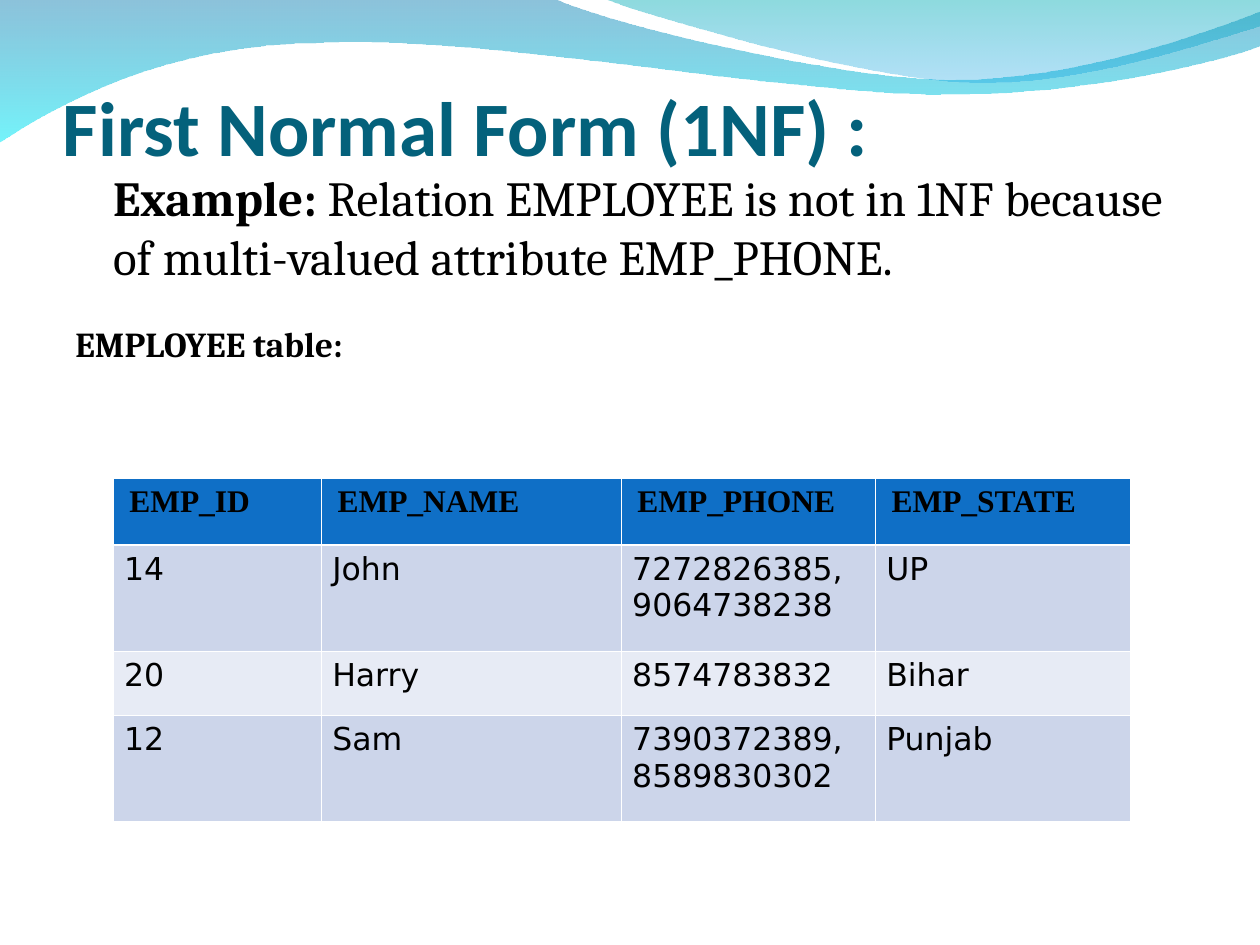
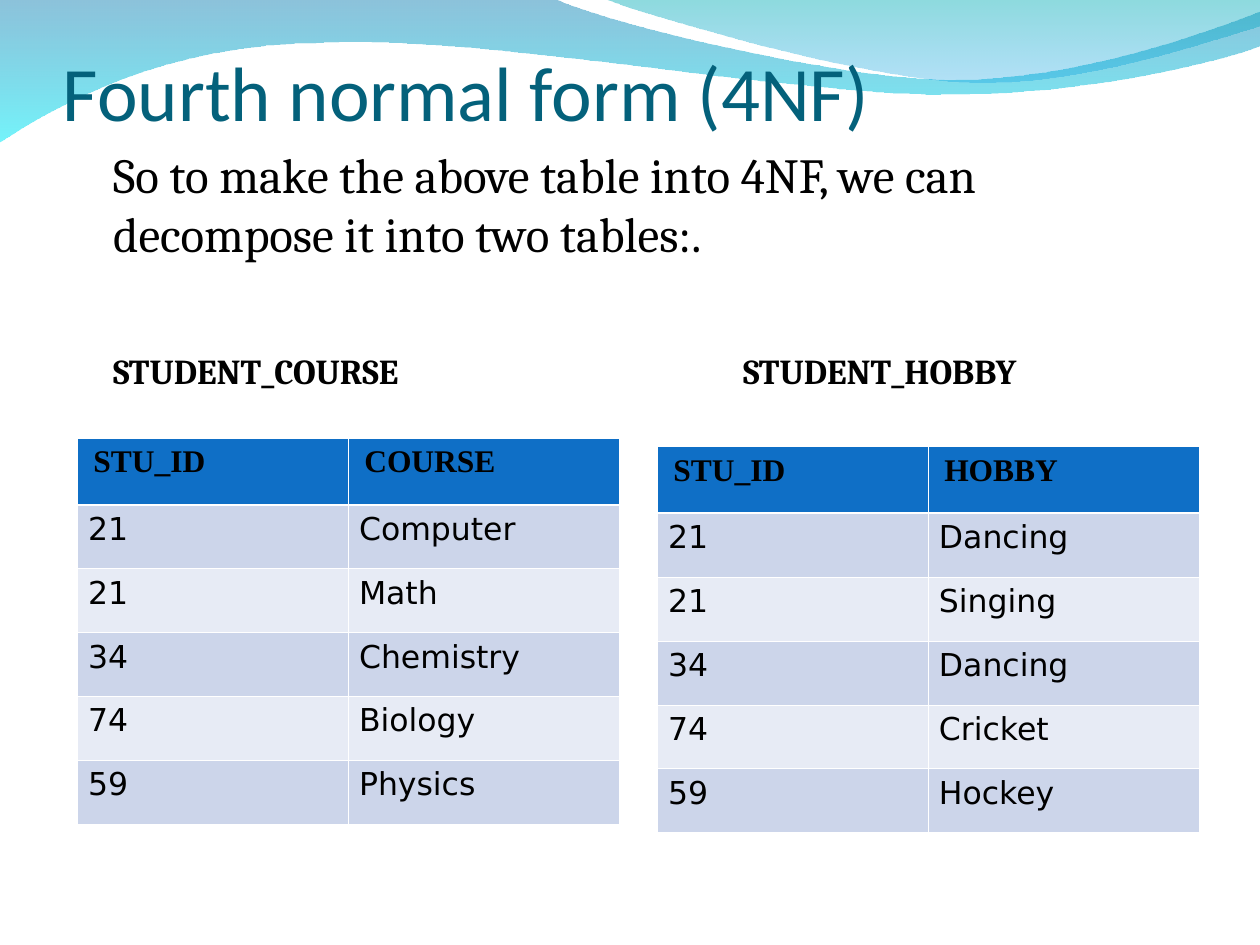
from lxml import etree
from pptx import Presentation
from pptx.dml.color import RGBColor
from pptx.enum import text
from pptx.oxml.ns import qn
from pptx.util import Pt

COLORS = {
    "title": "04617B", "text": "000000", "border": "FFFFFF",
    "header": "0F6FC6", "odd_row": "CCD5EA", "even_row": "E7EBF5",
    "wave_top": "0079AF", "wave_bottom": "00EBF8",
    "crest_top": "00ADB6", "crest_bottom": "009BE5",
}
TITLE_FONT, BODY_FONT = "Calibri", "Cambria"
HEADER_FONT, CELL_FONT = "Times New Roman", "DejaVu Sans"
MARGIN, CONTENT_WIDTH = 36, 648
INDENT = 21.6
HEADER_HEIGHT, ROW_HEIGHT, TALL_ROW_HEIGHT = 38, 36.55, 60.8

# Wave outlines in points: a pair is a corner, a triple of pairs a cubic curve
WAVE = [
    (0, -0.7), (316.8, -0.7),
    ((342.7, 12.2), (478.1, 45.4), (545.8, 45.4)),
    ((614.2, 45.4), (689.8, 18.7), (720, 6.5)),
    (720.7, 25.9),
    ((707.8, 31.7), (626.4, 54.7), (537.1, 54)),
    ((447.8, 54), (275, 20.2), (185, 24.5)),
    ((92.9, 25.2), (33.1, 59.8), (-0.7, 81.4)),
    (0, -0.7),
]
CREST = [
    (344.9, -0.7),
    ((366.5, 7.9), (491, 44.6), (553.7, 46.8)),
    ((616.3, 49.7), (691.9, 23), (720, 15.1)),
    (720, 0), (344.9, -0.7),
]


def rgb(name):
    return RGBColor.from_string(COLORS[name])


def style_font(font, name, size, color="text", bold=False):
    font.name, font.size, font.bold = name, Pt(size), bold
    font.color.rgb = rgb(color)


# Background waves
def is_curve(part):
    return isinstance(part[0], tuple)


def bend_segments(shape, parts):
    """Join the three segments of every curve into one cubic segment."""
    segments = iter(shape.element.findall(".//" + qn("a:lnTo")))
    for part in parts:
        segment = next(segments)
        if is_curve(part):
            segment.tag = qn("a:cubicBezTo")
            for _ in range(2):
                extra = next(segments)
                segment.append(extra[0])
                extra.getparent().remove(extra)


def add_wave(slide, outline, stops):
    points = []
    for part in outline:
        points.extend(part if is_curve(part) else [part])
    first, *others = [(round(x * 100), round(y * 100)) for x, y in points]
    builder = slide.shapes.build_freeform(*first, scale=Pt(0.01))
    builder.add_line_segments(others, close=True)
    shape = builder.convert_to_shape()
    bend_segments(shape, outline[1:])
    shape.shadow.inherit = False
    shape.line.fill.background()
    shape.fill.gradient()
    shape.fill.gradient_angle = 270
    for stop, (color, _) in zip(shape.fill.gradient_stops, stops):
        stop.color.rgb = rgb(color)
    for element, (_, opacity) in zip(shape.element.findall(".//" + qn("a:srgbClr")), stops):
        etree.SubElement(element, qn("a:alpha"), val=str(opacity * 1000))


# Title
def add_title(slide, top, title, bold=False):
    shape = slide.shapes.add_textbox(Pt(MARGIN), Pt(top), Pt(CONTENT_WIDTH), Pt(55.4))
    frame = shape.text_frame
    frame.word_wrap = True
    frame.vertical_anchor = text.MSO_ANCHOR.BOTTOM
    frame.margin_left = frame.margin_right = frame.margin_bottom = 0
    frame.text = title
    style_font(frame.paragraphs[0].runs[0].font, TITLE_FONT, 44, "title", bold)


# Body: an introduction, then a line of table captions
def add_body(slide, top, height, lead, introduction, captions, caption_gap, caption_indent):
    shape = slide.shapes.add_textbox(Pt(MARGIN), Pt(top), Pt(CONTENT_WIDTH), Pt(height))
    frame = shape.text_frame
    frame.word_wrap = True

    paragraph = frame.paragraphs[0]
    paragraph._p.get_or_add_pPr().set("marL", str(Pt(INDENT)))
    for words, bold in ((lead, True), (introduction, False)):
        if words:
            run = paragraph.add_run()
            run.text = words
            style_font(run.font, BODY_FONT, 28, bold=bold)

    paragraph = frame.add_paragraph()
    properties = paragraph._p.get_or_add_pPr()
    properties.set("marL", str(Pt(caption_indent)))
    if len(captions) > 1:
        tabs = etree.SubElement(properties, qn("a:tabLst"))
        etree.SubElement(tabs, qn("a:tab"), pos=str(Pt(360)), algn="l")
    paragraph.text = "\t".join(captions)
    paragraph.space_before = Pt(caption_gap)
    for run in paragraph.runs:
        style_font(run.font, BODY_FONT, 20, bold=True)


# Tables
def set_borders(cell, row):
    properties = cell._tc.get_or_add_tcPr()
    heavy_side = {0: "lnB", 1: "lnT"}.get(row)
    for side in ("lnL", "lnR", "lnT", "lnB"):
        width = 1.47 if side == heavy_side else 0.45
        line = etree.SubElement(properties, qn("a:" + side), w=str(Pt(width)))
        fill = etree.SubElement(line, qn("a:solidFill"))
        etree.SubElement(fill, qn("a:srgbClr"), val=COLORS["border"])


def add_data_table(slide, left, top, widths, rows):
    heights = [HEADER_HEIGHT] + [
        TALL_ROW_HEIGHT if any("\v" in value for value in values) else ROW_HEIGHT
        for values in rows[1:]]
    table = slide.shapes.add_table(len(rows), len(widths), Pt(left), Pt(top),
                                   Pt(sum(widths)), Pt(sum(heights))).table
    for column, width in zip(table.columns, widths):
        column.width = Pt(width)
    for index, (values, height) in enumerate(zip(rows, heights)):
        table.rows[index].height = Pt(height)
        header = index == 0
        fill = "header" if header else "odd_row" if index % 2 else "even_row"
        for column, value in enumerate(values):
            cell = table.cell(index, column)
            set_borders(cell, index)
            cell.fill.solid()
            cell.fill.fore_color.rgb = rgb(fill)
            cell.margin_left = cell.margin_right = Pt(9 if header else 6)
            cell.margin_top = cell.margin_bottom = Pt(3.6)
            paragraph = cell.text_frame.paragraphs[0]
            paragraph.text = value
            for run in paragraph.runs:
                style_font(run.font, HEADER_FONT if header else CELL_FONT, 18, bold=header)


# Slides
def add_base_slide(presentation):
    slide = presentation.slides.add_slide(presentation.slide_layouts[6])
    add_wave(slide, WAVE, [("wave_top", 45), ("wave_bottom", 55)])
    add_wave(slide, CREST, [("crest_top", 45), ("crest_bottom", 30)])
    return slide


def add_first_form_slide(presentation):
    slide = add_base_slide(presentation)
    add_title(slide, 42.9, "First Normal Form (1NF) :", bold=True)
    add_body(slide, 92.2, 405.4, "Example:",
             " Relation EMPLOYEE is not in 1NF because of multi-valued attribute EMP_PHONE.",
             ["EMPLOYEE table:"], caption_gap=21.3, caption_indent=0)
    add_data_table(slide, 64.9, 273.4, [119, 171.4, 145.2, 145.2], [
        ("EMP_ID", "EMP_NAME", "EMP_PHONE", "EMP_STATE"),
        ("14", "John", "7272826385,\v9064738238", "UP"),
        ("20", "Harry", "8574783832", "Bihar"),
        ("12", "Sam", "7390372389,\v8589830302", "Punjab"),
    ])


def add_fourth_form_slide(presentation):
    slide = add_base_slide(presentation)
    add_title(slide, 23, "Fourth normal form (4NF)")
    add_body(slide, 79.2, 419, "",
             "So to make the above table into 4NF, we can decompose it into two tables:.",
             ["STUDENT_COURSE", "STUDENT_HOBBY"], caption_gap=49.5, caption_indent=INDENT)
    student_ids = ("21", "21", "34", "74", "59")
    for left, top, heading, values in (
        (44.4, 250.4, "COURSE", ("Computer", "Math", "Chemistry", "Biology", "Physics")),
        (375.8, 255.2, "HOBBY", ("Dancing", "Singing", "Dancing", "Cricket", "Hockey")),
    ):
        add_data_table(slide, left, top, [154.8, 154.8],
                       [("STU_ID", heading), *zip(student_ids, values)])


def main():
    presentation = Presentation()
    presentation.slide_width, presentation.slide_height = Pt(720), Pt(540)
    add_first_form_slide(presentation)
    add_fourth_form_slide(presentation)
    presentation.save("out.pptx")


if __name__ == "__main__":
    main()
